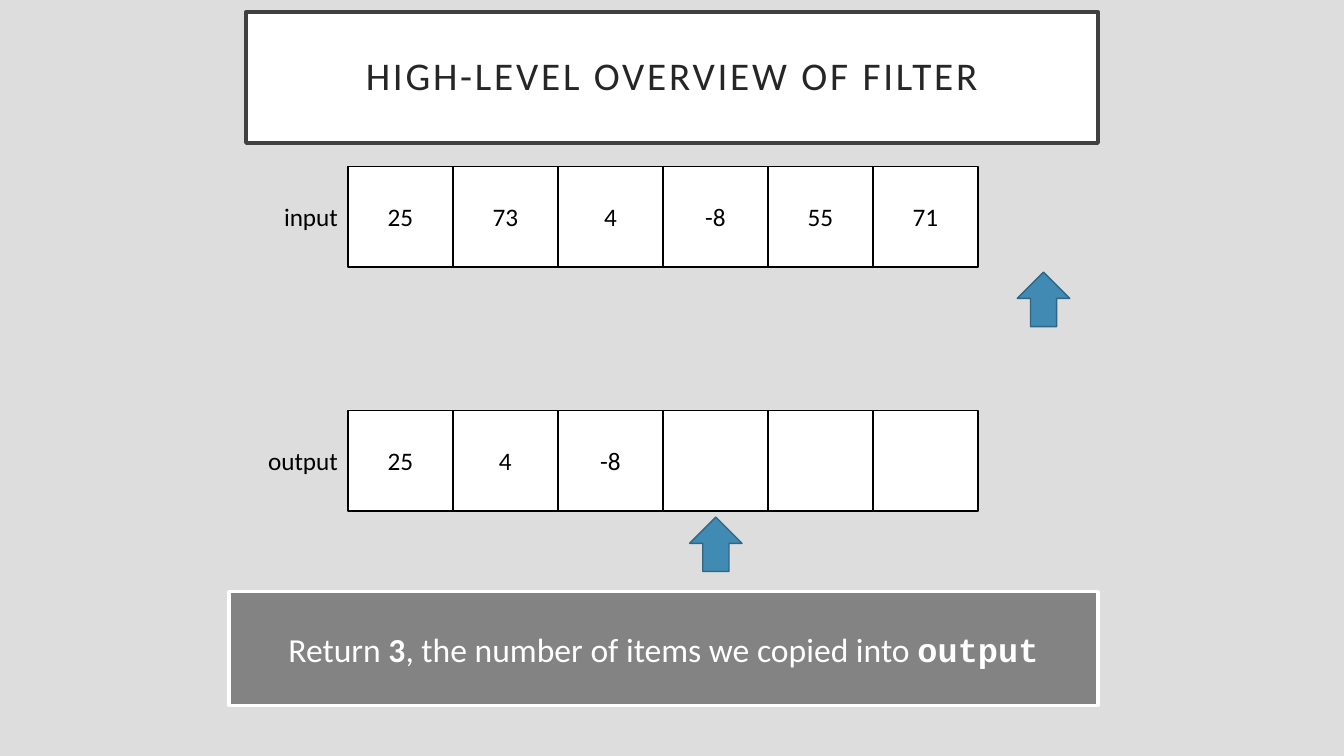
import pptx
import pptx.dml.color
import pptx.enum.shapes
import pptx.enum.text
import pptx.util

Inches = pptx.util.Inches
SHAPES = pptx.enum.shapes.MSO_SHAPE
ALIGN = pptx.enum.text.PP_ALIGN
MIDDLE = pptx.enum.text.MSO_ANCHOR.MIDDLE


def color(hex_string):
    return pptx.dml.color.RGBColor.from_string(hex_string)


def add_box(slide, kind, box, fill, line, line_width):
    shape = slide.shapes.add_shape(kind, *[Inches(length) for length in box])
    shape.shadow.inherit = False
    shape.fill.solid()
    shape.fill.fore_color.rgb = color(fill)
    shape.line.color.rgb = color(line)
    shape.line.width = pptx.util.Pt(line_width)
    return shape


def format_run(run, size, hex_string, font_name="Calibri", bold=False):
    run.font.size = pptx.util.Pt(size)
    run.font.name = font_name
    run.font.bold = bold
    run.font.color.rgb = color(hex_string)


def write(shape, text, size, hex_string, alignment=ALIGN.CENTER):
    frame = shape.text_frame
    frame.word_wrap = True
    frame.vertical_anchor = MIDDLE
    frame.text = text
    paragraph = frame.paragraphs[0]
    paragraph.alignment = alignment
    for run in paragraph.runs:
        format_run(run, size, hex_string)
    return paragraph


def add_title(slide, box, text):
    shape = add_box(slide, SHAPES.RECTANGLE, box, "FFFFFF", "404040", 2.5)
    paragraph = write(shape, text, 28, "262626")
    paragraph.line_spacing = 0.9
    paragraph.runs[0]._r.get_or_add_rPr().set("spc", "200")
    frame = shape.text_frame
    frame.margin_left = frame.margin_right = Inches(0.2)
    frame.margin_top = frame.margin_bottom = Inches(0.2)


def add_array(slide, box, name, values):
    left, top, width, height = box
    cell_width = width / len(values)
    for index, value in enumerate(values):
        cell_box = (left + index * cell_width, top, cell_width, height)
        cell = add_box(slide, SHAPES.RECTANGLE, cell_box, "FFFFFF", "000000", 1)
        if value:
            write(cell, value, 18, "000000")

    label_width, label_height = 1.49, 0.4
    label = slide.shapes.add_textbox(
        Inches(left - label_width),
        Inches(top + (height - label_height) / 2),
        Inches(label_width),
        Inches(label_height),
    )
    write(label, name, 18, "000000", ALIGN.RIGHT)


def add_pointer(slide, box):
    arrow = add_box(slide, SHAPES.DOWN_ARROW, box, "418AB3", "306684", 1)
    arrow.rotation = 180


def add_result(slide, box, parts):
    shape = add_box(slide, SHAPES.RECTANGLE, box, "838383", "FFFFFF", 2.5)
    paragraph = write(shape, "", 24, "FFFFFF")
    for text, font_name, bold in parts:
        run = paragraph.add_run()
        run.text = text
        format_run(run, 24, "FFFFFF", font_name, bold)


def main():
    presentation = pptx.Presentation()
    presentation.slide_width = Inches(13.33)
    presentation.slide_height = Inches(7.5)
    slide = presentation.slides.add_slide(presentation.slide_layouts[6])
    slide.background.fill.solid()
    slide.background.fill.fore_color.rgb = color("DDDDDD")

    add_title(slide, (2.44, 0.12, 8.45, 1.3), "HIGH-LEVEL OVERVIEW OF FILTER")
    add_array(slide, (3.45, 1.65, 6.25, 1), "input", ["25", "73", "4", "-8", "55", "71"])
    add_array(slide, (3.45, 4.07, 6.25, 1), "output", ["25", "4", "-8", "", "", ""])
    add_pointer(slide, (10.09, 2.7, 0.52, 0.54))
    add_pointer(slide, (6.84, 5.13, 0.52, 0.54))
    add_result(slide, (2.27, 5.87, 8.62, 1.13), [
        ("Return ", "Calibri", False),
        ("3", "Calibri", True),
        (", the number of items we copied into ", "Calibri", False),
        ("output", "Courier New", True),
    ])
    presentation.save("out.pptx")


if __name__ == "__main__":
    main()
